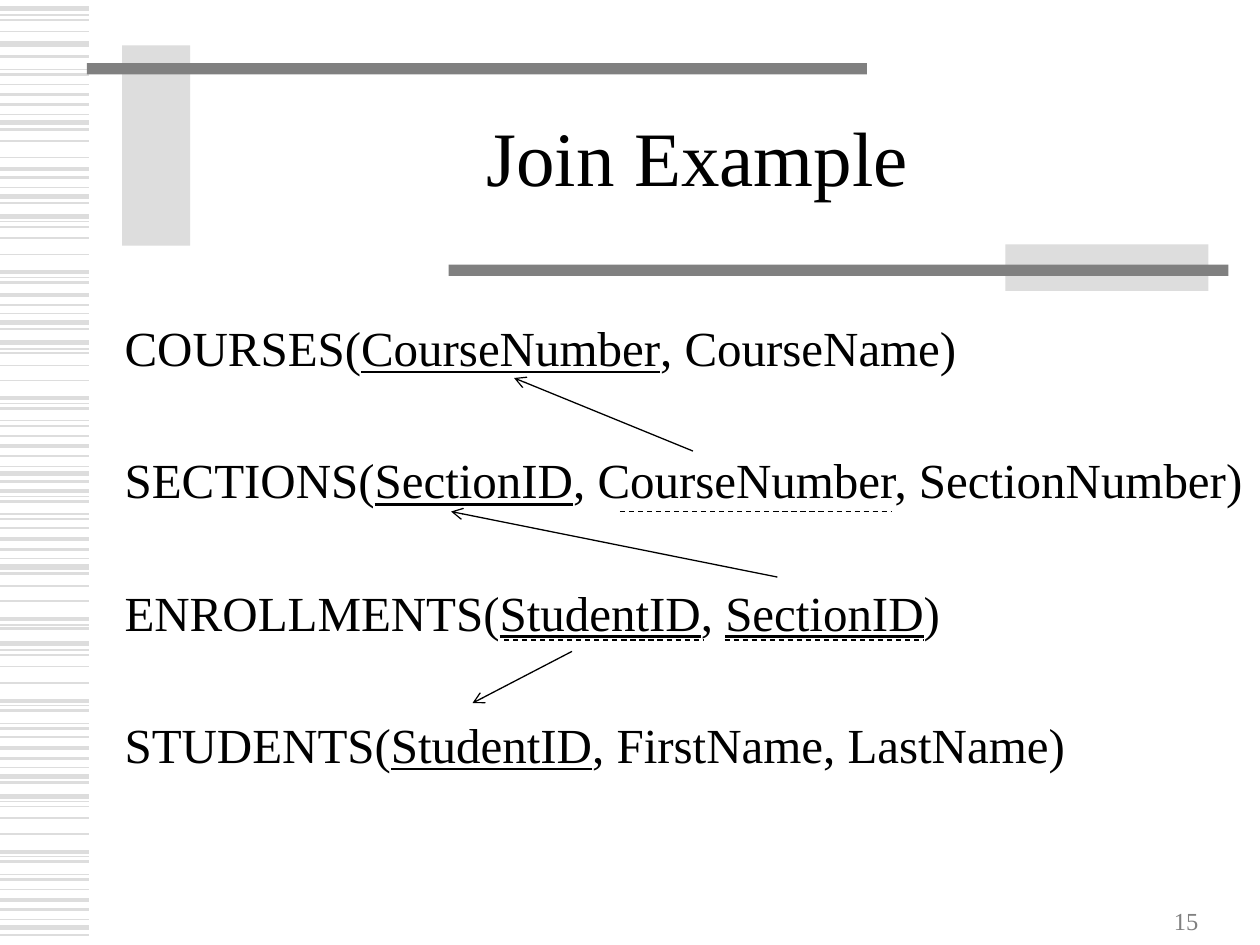
import pptx
import pptx.util
import pptx.dml.color
import pptx.enum.dml
import pptx.enum.shapes
import pptx.enum.text
import pptx.oxml.ns
import lxml.etree

Inches = pptx.util.Inches
Pt = pptx.util.Pt
RGB = pptx.dml.color.RGBColor
Align = pptx.enum.text.PP_ALIGN
Anchor = pptx.enum.text.MSO_ANCHOR
Dash = pptx.enum.dml.MSO_LINE.DASH
qn = pptx.oxml.ns.qn

theme = {
    "font": "Times New Roman",
    "ink": RGB(0, 0, 0),
    "pale": RGB(0xDD, 0xDD, 0xDD),
    "gray": RGB(0x80, 0x80, 0x80),
    "title": Pt(44),
    "body": Pt(28),
    "page": Pt(14),
}

deck = pptx.Presentation()
deck.slide_width = Inches(10)
deck.slide_height = Inches(7.5)
slide = deck.slides.add_slide(deck.slide_layouts[6])
shapes = slide.shapes


def add_line(start, end, color, width, dash=None, arrow=False):
    line = shapes.add_connector(
        pptx.enum.shapes.MSO_CONNECTOR.STRAIGHT, *map(Inches, start + end)
    )
    line.line.color.rgb = color
    line.line.width = Pt(width)
    if dash:
        line.line.dash_style = dash
    if arrow:
        lxml.etree.SubElement(line.line._get_or_add_ln(), qn("a:tailEnd"), type="arrow")
    lxml.etree.SubElement(line._element.spPr, qn("a:effectLst"))


def add_text(box, rows, frame, para, font):
    body = shapes.add_textbox(*map(Inches, box)).text_frame
    body.word_wrap = True
    for name, value in frame.items():
        setattr(body, name, value)
    for index, row in enumerate(rows):
        item = body.add_paragraph() if index else body.paragraphs[0]
        for name, value in para.items():
            if index or name != "space_before":
                setattr(item, name, value)
        for order, part in enumerate(row):
            run = item.add_run()
            run.text = part
            run.font.color.rgb = font["color"]
            run.font.size = font["size"]
            run.font.name = theme["font"]
            run.font.underline = order % 2 == 1


stripes = {
    3: [0.07, 0.35, 0.97, 1.56, 1.72, 2.56, 2.72, 3.76, 4.5, 5.11, 6.16, 6.32, 7.36],
    2.25: [0.75, 1.34, 2.16, 2.34, 3.16, 3.54, 3.9, 4.28, 4.91, 5.56, 5.94, 6.76, 7.14],
    1.5: [0.45, 0.59, 0.83, 1.03, 1.41, 1.61, 2.24, 2.42, 2.61, 3.24, 3.38, 3.62, 3.82,
          3.98, 4.12, 4.36, 4.55, 4.99, 5.64, 5.78, 6.02, 6.21, 6.84, 6.98, 7.22, 7.42],
    1: [0.16, 0.25, 0.67, 1.12, 1.25, 1.8, 1.89, 2.02, 2.8, 2.9, 3.02, 3.46,
        4.19, 4.65, 4.77, 5.2, 5.29, 5.42, 5.85, 6.4, 6.49, 6.62, 7.06],
    0.75: [0.12, 0.55, 0.91, 1.49, 1.76, 2.2, 2.49, 2.77, 3.2, 3.34, 3.7, 3.94,
           4.08, 4.43, 4.96, 5.16, 5.6, 5.74, 6.09, 6.36, 6.8, 6.94, 7.3],
}
for width, levels in stripes.items():
    for y in levels:
        add_line((0, y), (0.71, y), theme["pale"], width)

bars = [
    ((0.97, 0.36, 0.54, 1.59), "pale"),
    ((0.69, 0.5, 6.19, 0.09), "gray"),
    ((7.98, 1.94, 1.61, 0.37), "pale"),
    ((3.56, 2.1, 6.19, 0.09), "gray"),
]
for box, color in bars:
    bar = shapes.add_shape(pptx.enum.shapes.MSO_SHAPE.RECTANGLE, *map(Inches, box))
    bar.shadow.inherit = False
    bar.fill.solid()
    bar.fill.fore_color.rgb = theme[color]
    bar.line.fill.background()

add_text(
    (1.5, 0.67, 8.07, 1.25),
    [["Join Example"]],
    {"vertical_anchor": Anchor.MIDDLE},
    {"alignment": Align.CENTER, "line_spacing": 0.85},
    {"size": theme["title"], "color": theme["ink"]},
)

tables = [
    ["COURSES(", "CourseNumber", ", CourseName)"],
    ["SECTIONS(", "SectionID", ", CourseNumber, SectionNumber)"],
    ["ENROLLMENTS(", "StudentID", ", ", "SectionID", ")"],
    ["STUDENTS(", "StudentID", ", FirstName, LastName)"],
]
add_text(
    (0.89, 2.42, 9.11, 4.24),
    tables,
    {"vertical_anchor": Anchor.TOP, "margin_top": Inches(0.1)},
    {"alignment": Align.LEFT, "space_before": Pt(42)},
    {"size": theme["body"], "color": theme["ink"]},
)

add_text(
    (7.21, 6.97, 2.4, 0.5),
    [["15"]],
    {"vertical_anchor": Anchor.BOTTOM},
    {"alignment": Align.RIGHT},
    {"size": theme["page"], "color": theme["gray"]},
)

for left, right, y in [(4.92, 7.08, 4.06), (4, 5.58, 5.08), (5.75, 7.33, 5.08)]:
    add_line((left, y), (right, y), theme["ink"], 0.75, dash=Dash)

links = [
    ((5.5, 3.58), (4.08, 3)),
    ((6.17, 4.58), (3.58, 4.06)),
    ((4.54, 5.17), (3.75, 5.58)),
]
for start, end in links:
    add_line(start, end, theme["ink"], 0.75, arrow=True)

deck.save("out.pptx")
